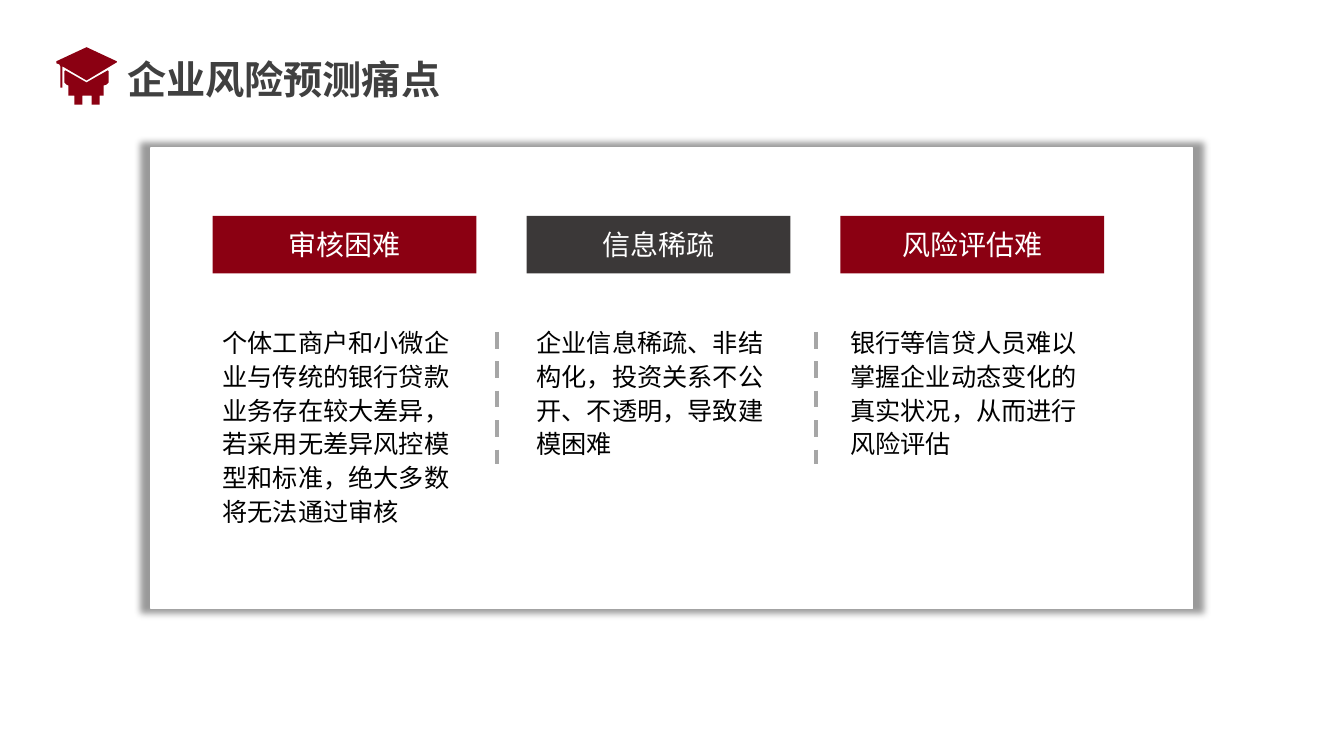
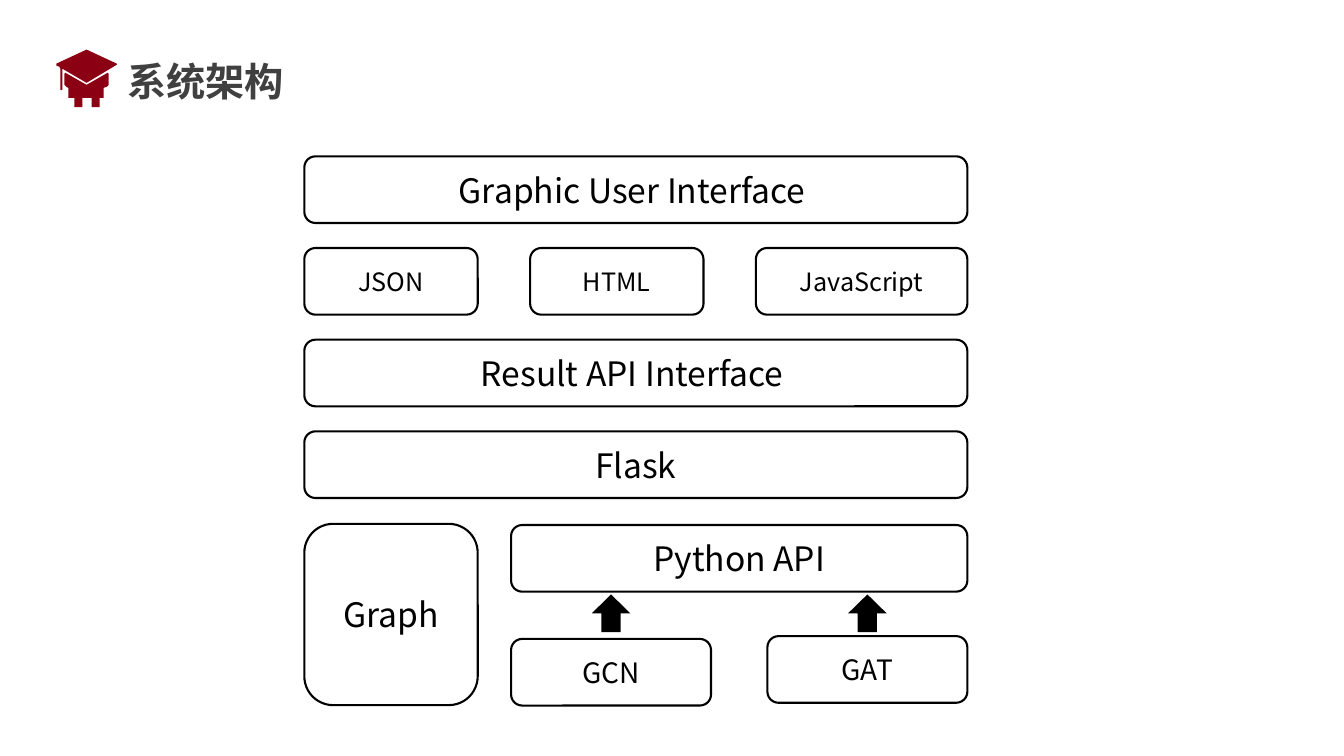
from lxml import etree
from pptx import Presentation
from pptx import util as u
from pptx.dml.color import RGBColor
from pptx.enum import dml, shapes, text
from pptx.oxml import ns

FONT = "Noto Sans CJK SC"
RED, DARK, GREY, TITLE = "8B0012", "3B3838", "A6A6A6", "404040"
WHITE, BLACK = "FFFFFF", "000000"

CAP_PARTS = [
    [(0, 16), (3, 17), (4, 19), (4, 40), (6, 40), (6, 19), (30, 33), (60, 15), (60, 14), (30, 0), (0, 14)],
    [(47, 38), (50, 37), (52, 35), (52, 24), (51, 23), (30, 35), (9, 23), (8, 24), (8, 35), (10, 37),
     (12, 38), (12, 48), (18, 48), (18, 57), (26, 57), (26, 48), (35, 48), (35, 57), (43, 57), (43, 48), (47, 48)],
]

PAIN_POINTS = [
    ("审核困难", RED, "个体工商户和小微企业与传统的银行贷款业务存在较大差异，若采用无差异风控模型和标准，绝大多数将无法通过审核"),
    ("信息稀疏", DARK, "企业信息稀疏、非结构化，投资关系不公开、不透明，导致建模困难"),
    ("风险评估难", RED, "银行等信贷人员难以掌握企业动态变化的真实状况，从而进行风险评估"),
]
COLUMN_LEFT, COLUMN_PITCH, COLUMN_WIDTH = 5.36, 7.91, 6.65
DIVIDERS = [12.52, 20.57]

STACK_LEFT, STACK_TOP, STACK_WIDTH = 7.67, 3.94, 16.71
ROW_PITCH, ROW_HEIGHT = 2.31, 1.68
LAYERS = [
    [("Graphic User Interface ", STACK_WIDTH)],
    [("JSON", 4.37), ("HTML", 4.37), ("JavaScript", 5.33)],
    [("Result API Interface ", STACK_WIDTH)],
    [("Flask", STACK_WIDTH)],
]
BACKEND = [
    ("Graph", 7.67, 13.2, 4.37, 4.57),
    ("Python API", 12.88, 13.23, 11.5, ROW_HEIGHT),
]
MODELS = [("GCN", 12.88, 16.1), ("GAT", 19.34, 16.03)]
MODEL_WIDTH = 5.04
ARROW_TOP, ARROW_WIDTH, ARROW_HEIGHT = 14.98, 0.97, 0.95


def colour(value):
    return RGBColor.from_string(value)


def write(shape, words, size, ink, bold=False, align=text.PP_ALIGN.CENTER, anchor=text.MSO_ANCHOR.MIDDLE):
    frame = shape.text_frame
    frame.text = words
    frame.word_wrap = True
    frame.vertical_anchor = anchor
    para = frame.paragraphs[0]
    para.alignment = align
    span = para.runs[0]
    span.font.name = FONT
    span.font.size = u.Pt(size)
    span.font.bold = bold
    span.font.color.rgb = colour(ink)
    properties = span.font._element
    etree.SubElement(properties, ns.qn("a:ea"), typeface=FONT)
    return para


def paint(shape, fill, line=None, width=1):
    shape.shadow.inherit = False
    shape.fill.solid()
    shape.fill.fore_color.rgb = colour(fill)
    if line:
        shape.line.color.rgb = colour(line)
        shape.line.width = u.Pt(width)
    else:
        shape.line.fill.background()


def add_box(page, kind, left, top, width, height, fill, line=None, line_width=1):
    box = page.shapes.add_shape(kind, u.Cm(left), u.Cm(top), u.Cm(width), u.Cm(height))
    paint(box, fill, line, line_width)
    return box


def add_page(deck, heading, top):
    page = deck.slides.add_slide(deck.slide_layouts[5])
    title = page.shapes.title
    title.left, title.top, title.width, title.height = u.Cm(2.95), u.Cm(top + 0.06), u.Cm(11.6), u.Cm(1.45)
    write(title, heading, 28, TITLE, bold=True, align=text.PP_ALIGN.LEFT)
    cap = page.shapes.add_group_shape()
    for points in CAP_PARTS:
        builder = cap.shapes.build_freeform(*points[0], scale=u.Cm(0.0254))
        builder.add_line_segments(points[1:], close=True)
        paint(builder.convert_to_shape(u.Cm(1.42), u.Cm(top)), RED)
    return page


def add_glow(shape):
    effects = shape.element.spPr.find(ns.qn("a:effectLst"))
    shadow = etree.SubElement(effects, ns.qn("a:outerShdw"), blurRad=str(u.Pt(5)), sx="102000", sy="102000",
                              algn="ctr", rotWithShape="0")
    tint = etree.SubElement(shadow, ns.qn("a:srgbClr"), val=BLACK)
    etree.SubElement(tint, ns.qn("a:alpha"), val="40000")


def add_divider(page, x):
    divider = page.shapes.add_connector(shapes.MSO_CONNECTOR.STRAIGHT, u.Cm(x), u.Cm(8.36), u.Cm(x), u.Cm(11.68))
    divider.line.color.rgb = colour(GREY)
    divider.line.width = u.Pt(3)
    divider.line.dash_style = dml.MSO_LINE.DASH
    etree.SubElement(divider.element.spPr, ns.qn("a:effectLst"))


def build_pain_points(deck):
    page = add_page(deck, "企业风险预测痛点", 1.19)
    rectangle = shapes.MSO_SHAPE.RECTANGLE
    add_glow(add_box(page, rectangle, 3.81, 3.73, 26.24, 11.61, WHITE, WHITE))
    for index, (label, fill, detail) in enumerate(PAIN_POINTS):
        left = COLUMN_LEFT + index * COLUMN_PITCH
        write(add_box(page, rectangle, left, 5.44, COLUMN_WIDTH, 1.45, fill), label, 20, WHITE)
        body = page.shapes.add_textbox(u.Cm(left), u.Cm(8.05), u.Cm(COLUMN_WIDTH), u.Cm(5.33))
        para = write(body, detail, 18, BLACK, align=text.PP_ALIGN.LEFT, anchor=text.MSO_ANCHOR.TOP)
        para.line_spacing = u.Pt(24)
    for x in DIVIDERS:
        add_divider(page, x)


def add_module(page, name, left, top, width, height, size):
    box = add_box(page, shapes.MSO_SHAPE.ROUNDED_RECTANGLE, left, top, width, height, WHITE, BLACK, 1.5)
    write(box, name, size, BLACK)


def build_architecture(deck):
    page = add_page(deck, "系统架构", 1.25)
    for row, layer in enumerate(LAYERS):
        spare = STACK_WIDTH - sum(width for name, width in layer)
        gap = spare / max(len(layer) - 1, 1)
        left = STACK_LEFT
        for name, width in layer:
            size = 24 if len(layer) == 1 else 18
            add_module(page, name, left, STACK_TOP + row * ROW_PITCH, width, ROW_HEIGHT, size)
            left += width + gap
    for name, left, top, width, height in BACKEND:
        add_module(page, name, left, top, width, height, 24)
    for name, left, top in MODELS:
        add_module(page, name, left, top, MODEL_WIDTH, ROW_HEIGHT, 20)
        arrow_left = left + (MODEL_WIDTH - ARROW_WIDTH) / 2
        add_box(page, shapes.MSO_SHAPE.UP_ARROW, arrow_left, ARROW_TOP, ARROW_WIDTH, ARROW_HEIGHT, BLACK)


def main():
    deck = Presentation()
    deck.slide_width, deck.slide_height = u.Cm(33.87), u.Cm(19.05)
    build_pain_points(deck)
    build_architecture(deck)
    deck.save("out.pptx")


if __name__ == "__main__":
    main()
